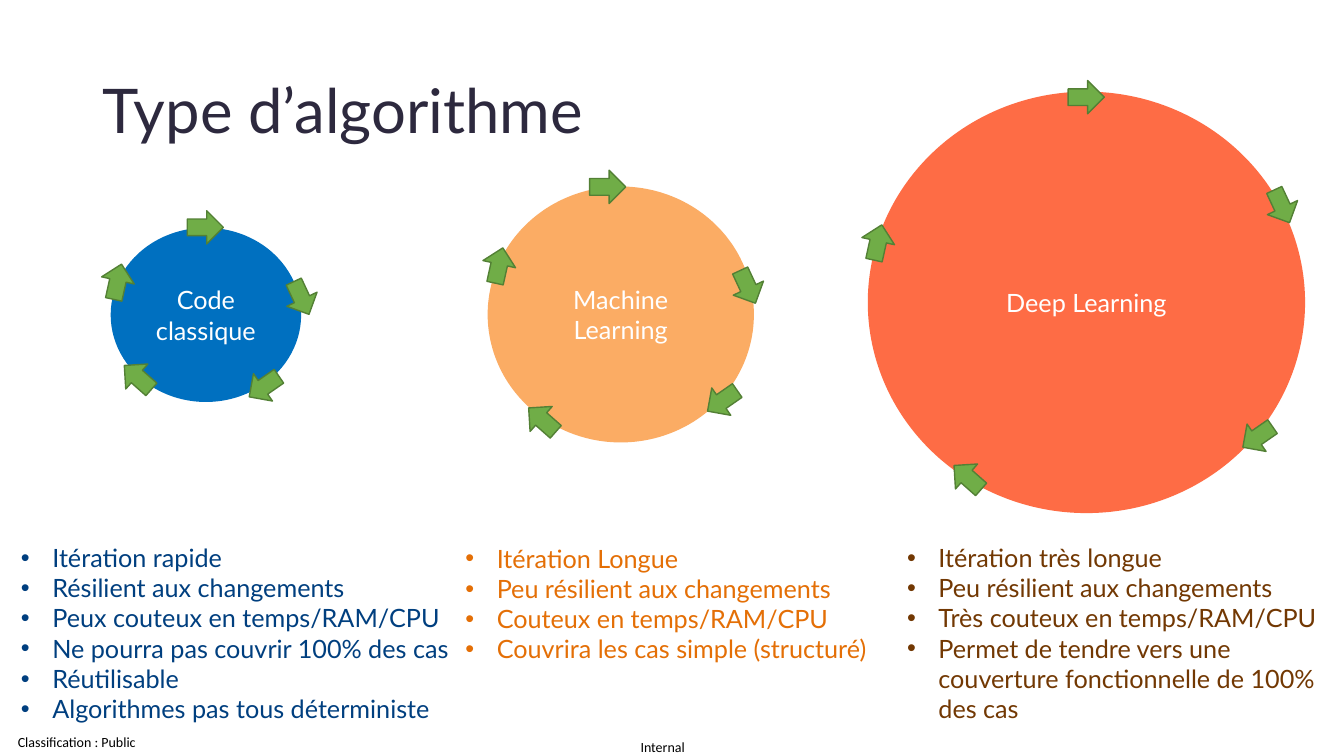
from lxml import etree
from pptx import Presentation
from pptx.dml.color import RGBColor
from pptx.enum import shapes, text
from pptx.oxml.ns import qn
from pptx.util import Cm, Pt

LEFT, CENTER = text.PP_ALIGN.LEFT, text.PP_ALIGN.CENTER


def color(hex_code):
    return RGBColor.from_string(hex_code)


class Deck:
    """Holds the style and the current slide."""
    font, size, white = "Lato", 18, "FFFFFF"
    arrow_fill, arrow_line = "70AD47", "538035"
    arrow_w, arrow_h = 0.91, 0.84
    indent = Cm(0.79)

    def __init__(self, prs):
        self.s = prs.slides.add_slide(prs.slide_layouts[5])

    def add_lines(self, tf, lines, hex_code, size=None, font=None, align=LEFT):
        for i, line in enumerate(lines):
            p = tf.paragraphs[0] if i == 0 else tf.add_paragraph()
            p.alignment = align
            r = p.add_run()
            r.text = line
            r.font.name = font or self.font
            r.font.size = Pt(size or self.size)
            r.font.color.rgb = color(hex_code)

    def title(self, line, box, hex_code):
        sp = self.s.shapes.title
        sp.left, sp.top, sp.width, sp.height = map(Cm, box)
        tf = sp.text_frame
        tf.vertical_anchor = text.MSO_ANCHOR.MIDDLE
        self.add_lines(tf, [line], hex_code, size=44)
        tf.paragraphs[0].line_spacing = 0.9

    def shape(self, kind, box, fill):
        sp = self.s.shapes.add_shape(kind, *map(Cm, box))
        sp.shadow.inherit = False
        sp.fill.solid()
        sp.fill.fore_color.rgb = color(fill)
        sp.line.fill.background()
        return sp

    def circle(self, lines, box, fill):
        sp = self.shape(shapes.MSO_SHAPE.OVAL, box, fill)
        tf = sp.text_frame
        tf.vertical_anchor = text.MSO_ANCHOR.MIDDLE
        self.add_lines(tf, lines, self.white, align=CENTER)

    def arrow(self, left, top, angle):
        box = (left, top, self.arrow_w, self.arrow_h)
        sp = self.shape(shapes.MSO_SHAPE.RIGHT_ARROW, box, self.arrow_fill)
        sp.line.color.rgb = color(self.arrow_line)
        sp.line.width = Pt(1)
        sp.rotation = angle

    def text_box(self, box):
        tf = self.s.shapes.add_textbox(*map(Cm, box)).text_frame
        tf.word_wrap = True
        return tf

    def bullets(self, lines, box, hex_code):
        tf = self.text_box(box)
        self.add_lines(tf, lines, hex_code)
        for p in tf.paragraphs:
            pPr = p._p.get_or_add_pPr()
            pPr.set("marL", str(self.indent))
            pPr.set("indent", str(-self.indent))
            etree.SubElement(pPr, qn("a:buFont")).set("typeface", "Arial")
            etree.SubElement(pPr, qn("a:buChar")).set("char", "•")

    def footer(self, line, box, align):
        tf = self.text_box(box)
        tf.margin_left = tf.margin_right = tf.margin_top = tf.margin_bottom = 0
        self.add_lines(tf, [line], "000000", size=10, font="Calibri", align=align)


prs = Presentation()
prs.slide_width, prs.slide_height = Cm(33.87), Cm(19.05)
deck = Deck(prs)

# Title and footers
deck.title("Type d’algorithme", (2.34, 1.02, 29.21, 3.68), "2D293E")
deck.footer("Internal", (16.1, 18.62, 1.2, 0.43), CENTER)
deck.footer("Classification : Public", (0.45, 18.48, 3.6, 0.43), LEFT)

# Algorithm types: circle, its arrows clockwise from the top, its bullets
ANGLES = (0, 65, 145.2, 221.5, 282.4)
ALGORITHMS = [
    dict(label=["Deep Learning"], circle=(21.87, 2.31, 11.02, 10.62), fill="FE6C45",
         arrows=[(26.92, 2.03), (31.85, 4.78), (31.24, 10.59), (23.93, 11.61), (21.67, 5.69)],
         box=(22.61, 13.54, 11.28, 4.88), ink="723803",
         points=["Itération très longue", "Peu résilient aux changements",
                 "Très couteux en temps/RAM/CPU",
                 "Permet de tendre vers une couverture fonctionnelle de 100% des cas"]),
    dict(label=["Machine", "Learning"], circle=(12.29, 4.7, 6.71, 6.45), fill="FBAC64",
         arrows=[(14.86, 4.29), (18.39, 6.81), (17.75, 9.68), (13.21, 10.16), (12.12, 6.27)],
         box=(11.48, 13.56, 10.8, 3.33), ink="E46F06",
         points=["Itération Longue", "Peu résilient aux changements",
                 "Couteux en temps/RAM/CPU", "Couvrira les cas simple (structuré)"]),
    dict(label=["Code classique"], circle=(2.79, 5.74, 4.8, 4.39), fill="0070C0",
         arrows=[(4.72, 5.31), (7.14, 7.09), (6.2, 9.32), (3.02, 9.09), (2.51, 6.68)],
         box=(0.28, 13.54, 11.51, 5.64), ink="003F7F",
         points=["Itération rapide", "Résilient aux changements",
                 "Peux couteux en temps/RAM/CPU", "Ne pourra pas couvrir 100% des cas",
                 "Réutilisable", "Algorithmes pas tous déterministe"]),
]
for algo in ALGORITHMS:
    deck.circle(algo["label"], algo["circle"], algo["fill"])
    for (left, top), angle in zip(algo["arrows"], ANGLES):
        deck.arrow(left, top, angle)
    deck.bullets(algo["points"], algo["box"], algo["ink"])

prs.save("out.pptx")
